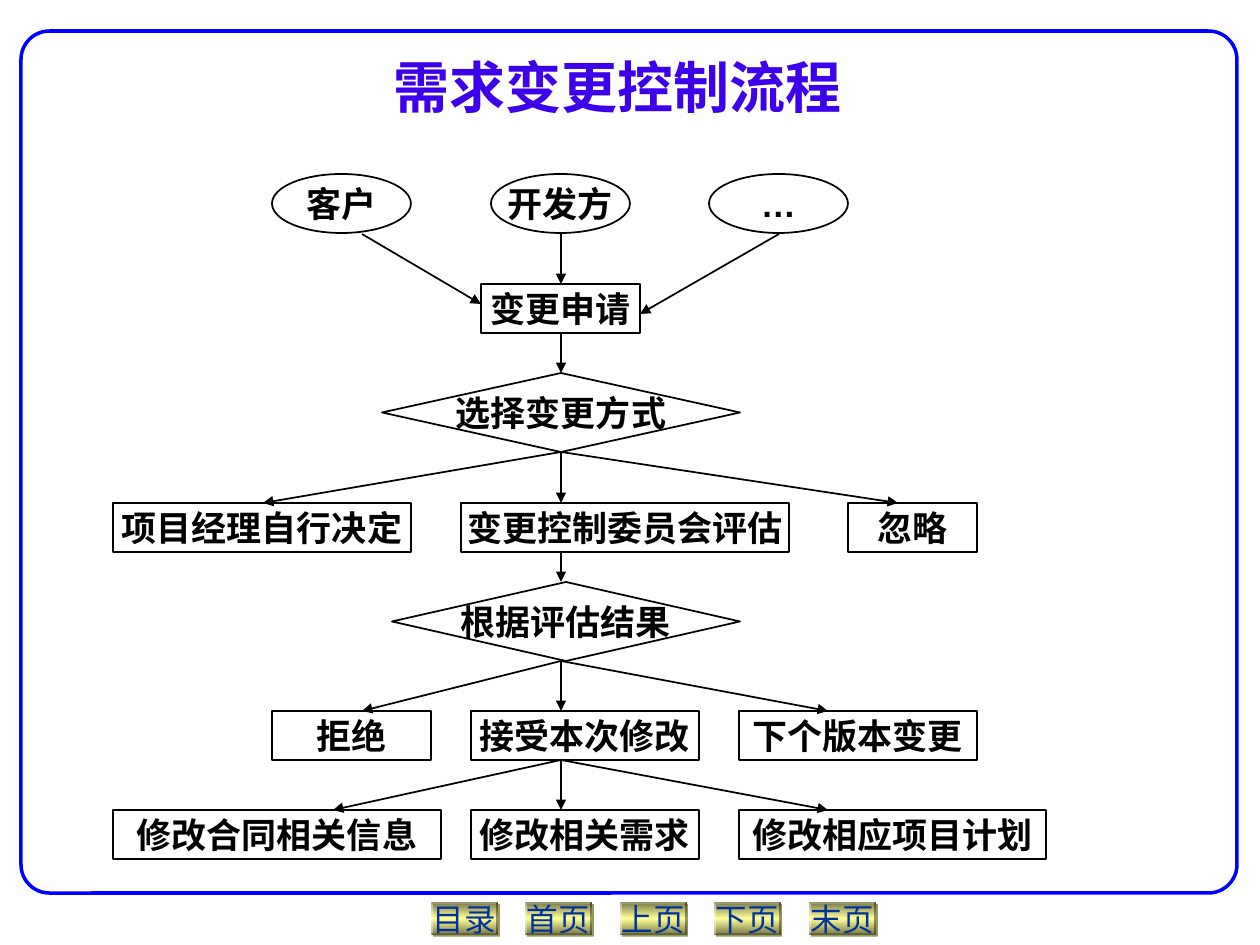
from copy import deepcopy

from pptx import Presentation
from pptx.dml.color import RGBColor
from pptx.enum.shapes import MSO_CONNECTOR, MSO_SHAPE
from pptx.enum.text import MSO_ANCHOR, PP_ALIGN
from pptx.oxml.ns import qn
from pptx.oxml.xmlchemy import OxmlElement
from pptx.util import Pt

PX = 914400 / 126
COLORS = {
    "ink": "000000", "paper": "FFFFFF", "frame": "0000FF", "title": "3D00EA",
    "nav_text": "003399", "nav_edge": "767647", "nav_mid": "FFFF99",
    "nav_shadow": "99995C",
}


def emu(*lengths):
    return [round(length * PX) for length in lengths]


def rgb(name):
    return RGBColor.from_string(COLORS[name])


def add_xml(parent, tag, **attributes):
    child = OxmlElement(tag)
    for name, value in attributes.items():
        child.set(name, str(value))
    parent.append(child)
    return child


class FlowSlide:
    """Holds the shared style and draws on one slide."""
    body_font, body_size = "Arial", 20
    line_width = Pt(1)

    def __init__(self, slide):
        self.shapes = slide.shapes

    def label(self, holder, words, font, size, color, bold=True,
              anchor=MSO_ANCHOR.MIDDLE, wrap=False):
        frame = holder.text_frame
        frame.word_wrap = wrap
        frame.vertical_anchor = anchor
        paragraph = frame.paragraphs[0]
        paragraph.alignment = PP_ALIGN.CENTER
        run = paragraph.add_run()
        run.text = words
        run.font.name, run.font.size, run.font.bold = font, Pt(size), bold
        run.font.color.rgb = rgb(color)

    def outline(self, kind, box, color, width):
        shape = self.shapes.add_shape(kind, *emu(*box))
        shape.shadow.inherit = False
        shape.fill.background()
        shape.line.color.rgb = rgb(color)
        shape.line.width = width
        return shape

    def page_frame(self, *box):
        frame = self.outline(MSO_SHAPE.ROUNDED_RECTANGLE, box, "frame", Pt(2))
        frame.adjustments[0] = 0.033
        frame.fill.solid()
        frame.fill.fore_color.rgb = rgb("paper")

    def title(self, words, *box):
        holder = self.shapes.add_textbox(*emu(*box))
        self.label(holder, words, "Comic Neue", 32, "title",
                   anchor=MSO_ANCHOR.BOTTOM, wrap=True)

    def node(self, kind, words, *box):
        shape = self.outline(kind, box, "ink", self.line_width)
        self.label(shape, words, self.body_font, self.body_size, "ink")

    def row(self, kind, top, height, nodes):
        for words, left, width in nodes:
            self.node(kind, words, left, top, width, height)

    def arrow(self, start, end):
        connector = self.shapes.add_connector(MSO_CONNECTOR.STRAIGHT,
                                              *emu(*start, *end))
        connector.line.color.rgb = rgb("ink")
        connector.line.width = self.line_width
        properties = connector._element.spPr
        add_xml(properties.find(qn("a:ln")), "a:tailEnd", type="triangle")
        add_xml(properties, "a:effectLst")

    def fan(self, start, end_y, end_xs):
        for end_x in end_xs:
            self.arrow(start, (end_x, end_y))

    def nav_button(self, words, *box):
        """Bevelled button with a three-stop gradient and an offset shadow."""
        button = self.shapes.add_shape(MSO_SHAPE.BEVEL, *emu(*box))
        button.adjustments[0] = 0.055
        button.line.fill.background()
        button.fill.gradient()
        button.fill.gradient_angle = 90
        properties = button._element.spPr
        stops = properties.find(qn("a:gradFill")).find(qn("a:gsLst"))
        stops.insert(1, deepcopy(stops[0]))
        looks = [(0, "nav_edge"), (0.5, "nav_mid"), (1, "nav_edge")]
        for stop, (position, color) in zip(button.fill.gradient_stops, looks):
            stop.position = position
            stop.color.rgb = rgb(color)
        button.shadow.inherit = False
        shadow = add_xml(properties.find(qn("a:effectLst")), "a:outerShdw",
                         dist=Pt(1.4), dir=45 * 60000, algn="ctr",
                         rotWithShape=0)
        add_xml(shadow, "a:srgbClr", val=COLORS["nav_shadow"])
        self.label(button, words, "Times New Roman", 18, "nav_text", bold=False)


def main():
    deck = Presentation()
    deck.slide_width, deck.slide_height = emu(1260, 945)
    page = FlowSlide(deck.slides.add_slide(deck.slide_layouts[6]))

    for index, words in enumerate(["目录", "首页", "上页", "下页", "末页"]):
        page.nav_button(words, 431 + index * 189 // 2, 902, 67, 33)
    page.page_frame(21, 31, 1216, 862)
    page.title("需求变更控制流程", 213, 26, 810, 100)

    box, choice = MSO_SHAPE.RECTANGLE, MSO_SHAPE.DIAMOND
    page.row(MSO_SHAPE.OVAL, 174, 59,
             [("客户", 272, 139), ("开发方", 491, 139), ("…", 709, 139)])
    page.node(box, "变更申请", 481, 284, 159, 49)
    page.node(choice, "选择变更方式", 382, 373, 358, 79)
    page.row(box, 503, 49, [("项目经理自行决定", 113, 298),
                            ("变更控制委员会评估", 461, 328),
                            ("忽略", 848, 129)])
    page.node(choice, "根据评估结果", 392, 582, 348, 79)
    page.row(box, 711, 49, [("拒绝", 272, 159), ("接受本次修改", 471, 228),
                            ("下个版本变更", 739, 238)])
    page.row(box, 810, 49, [("修改合同相关信息", 113, 328),
                            ("修改相关需求", 471, 228),
                            ("修改相应项目计划", 739, 307)])

    spine = 561
    page.arrow((362, 234), (481, 304))
    page.arrow((779, 234), (640, 314))
    for top, bottom in [(234, 284), (334, 373), (552, 582)]:
        page.arrow((spine, top), (spine, bottom))
    page.fan((spine, 452), 503, [263, spine, 898])
    page.fan((spine, 661), 711, [362, spine, 828])
    page.fan((spine, 760), 810, [333, spine, 828])

    deck.save("out.pptx")


if __name__ == "__main__":
    main()
